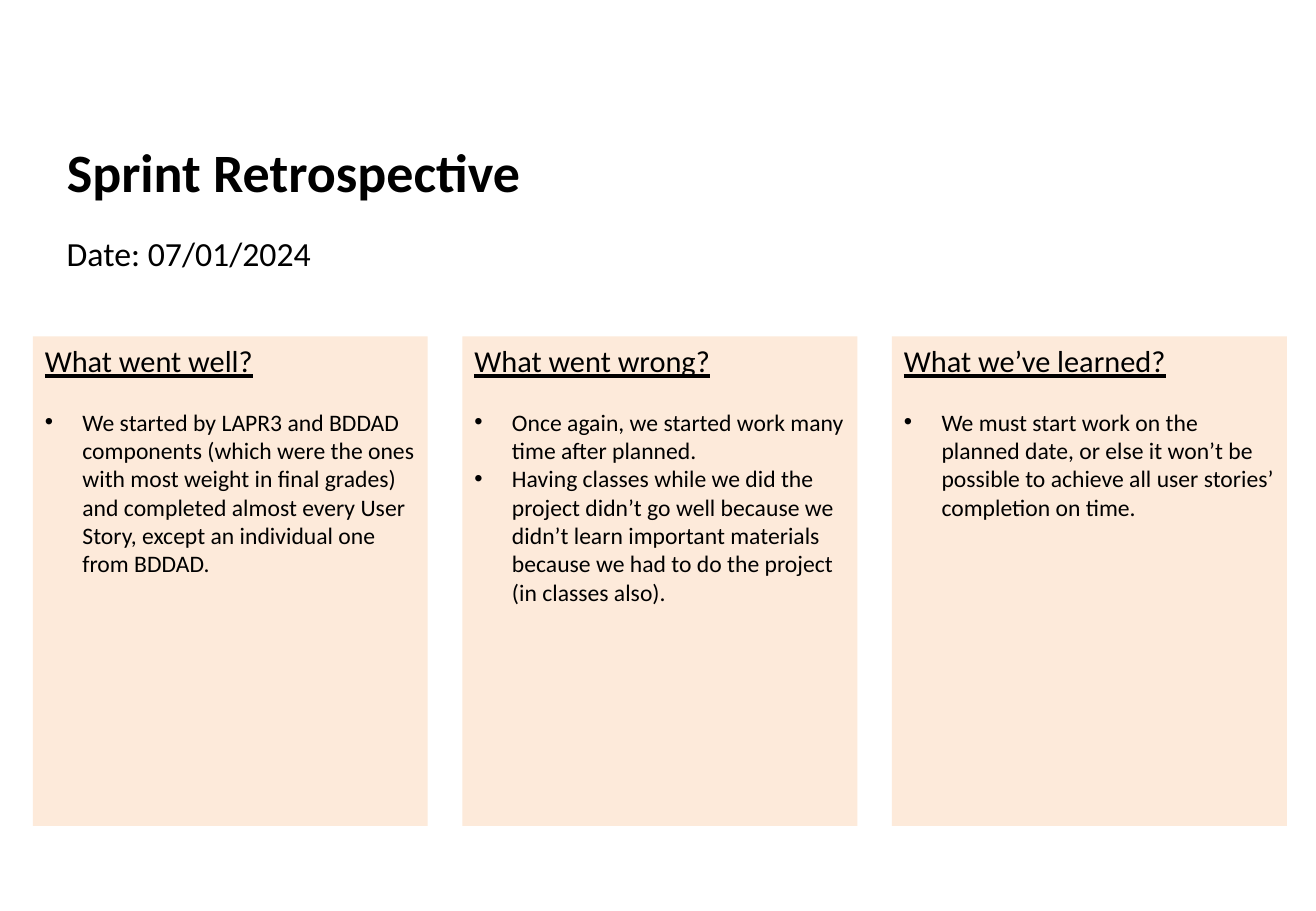
from lxml.etree import Element
from pptx import Presentation
from pptx.dml.color import RGBColor
from pptx.enum.shapes import MSO_SHAPE
from pptx.enum.text import MSO_ANCHOR, MSO_AUTO_SIZE, PP_ALIGN
from pptx.oxml.ns import qn
from pptx.util import Inches, Pt

BLACK = RGBColor(0x00, 0x00, 0x00)
PEACH = RGBColor(0xFD, 0xEA, 0xDA)

LEFT, TOP = 0.27, 2.77
WIDTH, HEIGHT = 3.25, 4.03
STEP = 3.535

PANELS = [
    ("What went well?", [
        "We started by LAPR3 and BDDAD components (which were the ones with "
        "most weight in final grades) and completed almost every User Story, "
        "except an individual one from BDDAD.",
    ]),
    ("What went wrong?", [
        "Once again, we started work many time after planned.",
        "Having classes while we did the project didn’t go well because we "
        "didn’t learn important materials because we had to do the project "
        "(in classes also).",
    ]),
    ("What we’ve learned?", [
        "We must start work on the planned date, or else it won’t be possible "
        "to achieve all user stories’ completion on time.",
    ]),
]


def write(para, text, size):
    para.text = text
    para.alignment = PP_ALIGN.LEFT
    font = para.font
    font.name = "Calibri"
    font.size = Pt(size)
    font.color.rgb = BLACK


def add_bullet(para):
    """Give the paragraph a round bullet and a hanging indent."""
    props = para._p.get_or_add_pPr()
    props.set("marL", str(Inches(0.31)))
    props.set("indent", str(-Inches(0.31)))
    props.insert(0, Element(qn("a:buFont"), typeface="Arial"))
    props.insert(1, Element(qn("a:buChar"), char="•"))


def set_title(slide, text):
    title = slide.shapes.title
    title.left, title.top = Inches(0.45), Inches(1.09)
    title.width, title.height = Inches(9.89), Inches(0.63)
    frame = title.text_frame
    frame.auto_size = MSO_AUTO_SIZE.NONE
    frame.vertical_anchor = MSO_ANCHOR.MIDDLE
    para = frame.paragraphs[0]
    write(para, text, 32)
    para.font.bold = True


def add_date(slide, text):
    box = slide.shapes.add_textbox(
        Inches(0.45), Inches(1.87), Inches(9.89), Inches(5.02))
    box.text_frame.word_wrap = True
    write(box.text_frame.paragraphs[0], text, 20)


def add_panel(slide, left, head, points):
    panel = slide.shapes.add_shape(
        MSO_SHAPE.RECTANGLE,
        Inches(left), Inches(TOP), Inches(WIDTH), Inches(HEIGHT))
    panel.shadow.inherit = False
    panel.fill.solid()
    panel.fill.fore_color.rgb = PEACH
    panel.line.fill.background()
    frame = panel.text_frame
    frame.word_wrap = True
    frame.vertical_anchor = MSO_ANCHOR.TOP
    para = frame.paragraphs[0]
    write(para, head, 18)
    para.font.underline = True
    para.space_after = Pt(17)
    for point in points:
        para = frame.add_paragraph()
        write(para, point, 14)
        add_bullet(para)


def main():
    deck = Presentation()
    deck.slide_width, deck.slide_height = Inches(10.83), Inches(7.5)
    slide = deck.slides.add_slide(deck.slide_layouts[5])
    set_title(slide, "Sprint Retrospective")
    add_date(slide, "Date: 07/01/2024")
    for index, (head, points) in enumerate(PANELS):
        add_panel(slide, LEFT + index * STEP, head, points)
    deck.save("out.pptx")


if __name__ == "__main__":
    main()
